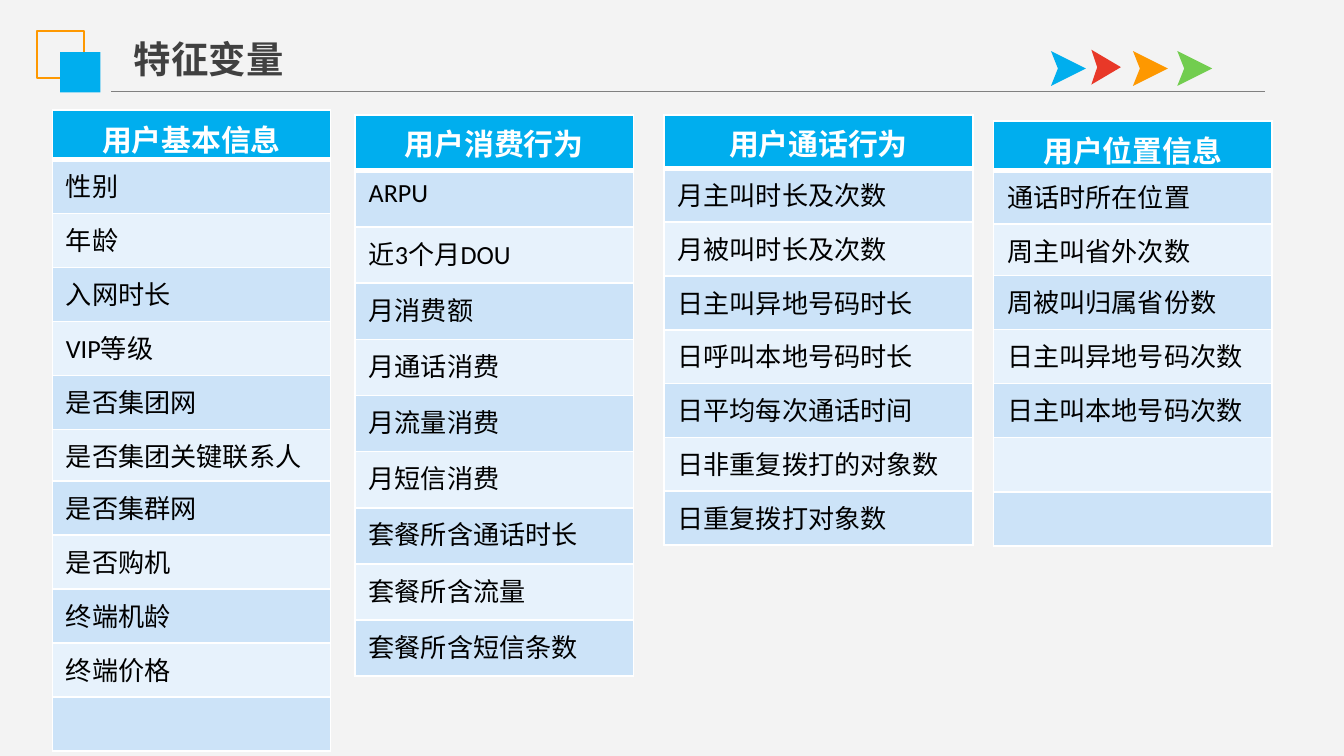
from lxml import etree
from pptx import Presentation
from pptx.dml.color import RGBColor as RGB
from pptx.enum.shapes import MSO_CONNECTOR as Conn, MSO_SHAPE as Shape
from pptx.enum.text import MSO_ANCHOR as Anchor, MSO_AUTO_SIZE as Fit, PP_ALIGN as Align
from pptx.oxml.ns import qn
from pptx.util import Inches, Pt

# The slide is a grid of square cells: 100 columns by 56.25 rows (16:9).
CELL = Inches(0.1)
COLS, ROWS = 100, 56.25

BLUE = RGB(0x00, 0xAE, 0xEE)
RED = RGB(0xE8, 0x38, 0x28)
ORANGE = RGB(0xFE, 0x98, 0x00)
GREEN = RGB(0x72, 0xCD, 0x4F)
GREY = RGB(0x80, 0x80, 0x80)
DARK = RGB(0x40, 0x40, 0x40)
BLACK = RGB(0, 0, 0)
WHITE = RGB(0xFF, 0xFF, 0xFF)
PAPER = RGB(0xF3, 0xF3, 0xF3)
BANDS = RGB(0xCC, 0xE3, 0xF8), RGB(0xE7, 0xF2, 0xFC)

# Each table: box, row heights (header first), heading, entries
TABLES = [
    ((3.9, 8.2, 20.7, 47.7), [2.2] + [4.02] * 5 + [3.82] + [4.02] * 5,
     "用户基本信息",
     ["性别", "年龄", "入网时长", "VIP等级", "是否集团网", "是否集团关键联系人",
      "是否集群网", "是否购机", "终端机龄", "终端价格", ""]),
    ((49.4, 8.54, 23, 32), [4] * 8, "用户通话行为",
     ["月主叫时长及次数", "月被叫时长及次数", "日主叫异地号码时长",
      "日呼叫本地号码时长", "日平均每次通话时间", "日非重复拨打的对象数",
      "日重复拨打对象数"]),
    ((26.43, 8.54, 20.7, 41.8), [4.18] * 10, "用户消费行为",
     ["ARPU", "近3个月DOU", "月消费额", "月通话消费", "月流量消费",
      "月短信消费", "套餐所含通话时长", "套餐所含流量", "套餐所含短信条数"]),
    ((73.93, 9, 20.7, 31.6), [2.2, 4.02, 3.82] + [4.02] * 5, "用户位置信息",
     ["通话时所在位置", "周主叫省外次数", "周被叫归属省份数",
      "日主叫异地号码次数", "日主叫本地号码次数", "", ""]),
]

ARROWS = [
    ((81.2, 3.7, 2.2, 2.6), RED),
    ((87.6, 3.8, 2.6, 2.6), GREEN),
    ((84.3, 3.8, 2.6, 2.6), ORANGE),
    ((78.2, 3.8, 2.6, 2.6), BLUE),
]


def grid(*cells):
    return [round(n * CELL) for n in cells]


def write(para, text, face, size, color, bold):
    run = para.add_run()
    run.text = text
    font = run.font
    font.name, font.size, font.bold = face, Pt(size), bold
    font.color.rgb = color
    return run


def square(slide, box, fill=None, line=None):
    shape = slide.shapes.add_shape(Shape.RECTANGLE, *grid(*box))
    shape.shadow.inherit = False
    if fill is None:
        shape.fill.background()
    else:
        shape.fill.solid()
        shape.fill.fore_color.rgb = fill
    if line is None:
        shape.line.fill.background()
    else:
        shape.line.color.rgb = line
        shape.line.width = Pt(1)


def arrow(slide, box, color):
    """Notched arrowhead pointing right and filling the box."""
    x, y, w, h = grid(*box)
    mid = y + h // 2
    pen = slide.shapes.build_freeform(x, y + h)
    pen.add_line_segments([(x + w // 5, mid), (x, y), (x + w, mid)], close=True)
    shape = pen.convert_to_shape()
    shape.shadow.inherit = False
    shape.fill.solid()
    shape.fill.fore_color.rgb = color
    shape.line.fill.background()


def header(slide, box):
    """Rule along the bottom of the box, with emblem, title and arrows."""
    x, y, w, h = box
    base = y + h
    rule = slide.shapes.add_connector(
        Conn.STRAIGHT, *grid(x + 5.5, base, x + w, base))
    rule.line.color.rgb = GREY
    rule.line.width = Pt(0.75)
    etree.SubElement(rule.element.spPr, qn("a:effectLst"))
    square(slide, (x, y, 3.5, 3.5), line=ORANGE)
    square(slide, (x + 1.7, y + 1.6, 3, 3), fill=BLUE)

    title = slide.shapes.title
    title.left, title.top, title.width, title.height = grid(
        x + 6.2, y - 0.1, 13.2, 4.4)
    frame = title.text_frame
    frame.word_wrap = False
    frame.auto_size = Fit.SHAPE_TO_FIT_TEXT
    frame.vertical_anchor = Anchor.MIDDLE
    para = frame.paragraphs[0]
    para.alignment = Align.LEFT
    face = "Noto Sans CJK SC"
    run = write(para, "特征变量", face, 20, DARK, True)
    etree.SubElement(run.font._element, qn("a:ea"), typeface=face)
    for spot, color in ARROWS:
        arrow(slide, spot, color)


def border(cell, side, width):
    props = cell._tc.get_or_add_tcPr()
    line = etree.SubElement(props, qn("a:ln" + side), w=str(Pt(width)))
    fill = etree.SubElement(line, qn("a:solidFill"))
    etree.SubElement(fill, qn("a:srgbClr"), val=str(WHITE))


def table(slide, box, heights, heading, entries):
    frame = slide.shapes.add_table(len(heights), 1, *grid(*box))
    for i, text in enumerate([heading] + entries):
        row = frame.table.rows[i]
        row.height = grid(heights[i])[0]
        cell = row.cells[0]
        head = i == 0
        for side in "LRTB":
            thick = (side, i) in (("B", 0), ("T", 1))
            border(cell, side, 3 if thick else 1)
        cell.fill.solid()
        cell.fill.fore_color.rgb = BLUE if head else BANDS[(i - 1) % 2]
        para = cell.text_frame.paragraphs[0]
        if head:
            para.alignment = Align.CENTER
            write(para, text, "Calibri", 16, WHITE, True)
        elif text:
            write(para, text, "Calibri", 14, BLACK, False)
    frame.height = grid(box[3])[0]


def main():
    deck = Presentation()
    deck.slide_width, deck.slide_height = grid(COLS, ROWS)
    slide = deck.slides.add_slide(deck.slide_layouts.get_by_name("Title Only"))
    back = slide.background.fill
    back.solid()
    back.fore_color.rgb = PAPER
    header(slide, (2.77, 2.28, 91.33, 4.55))
    for parts in TABLES:
        table(slide, *parts)
    deck.save("out.pptx")


if __name__ == "__main__":
    main()
